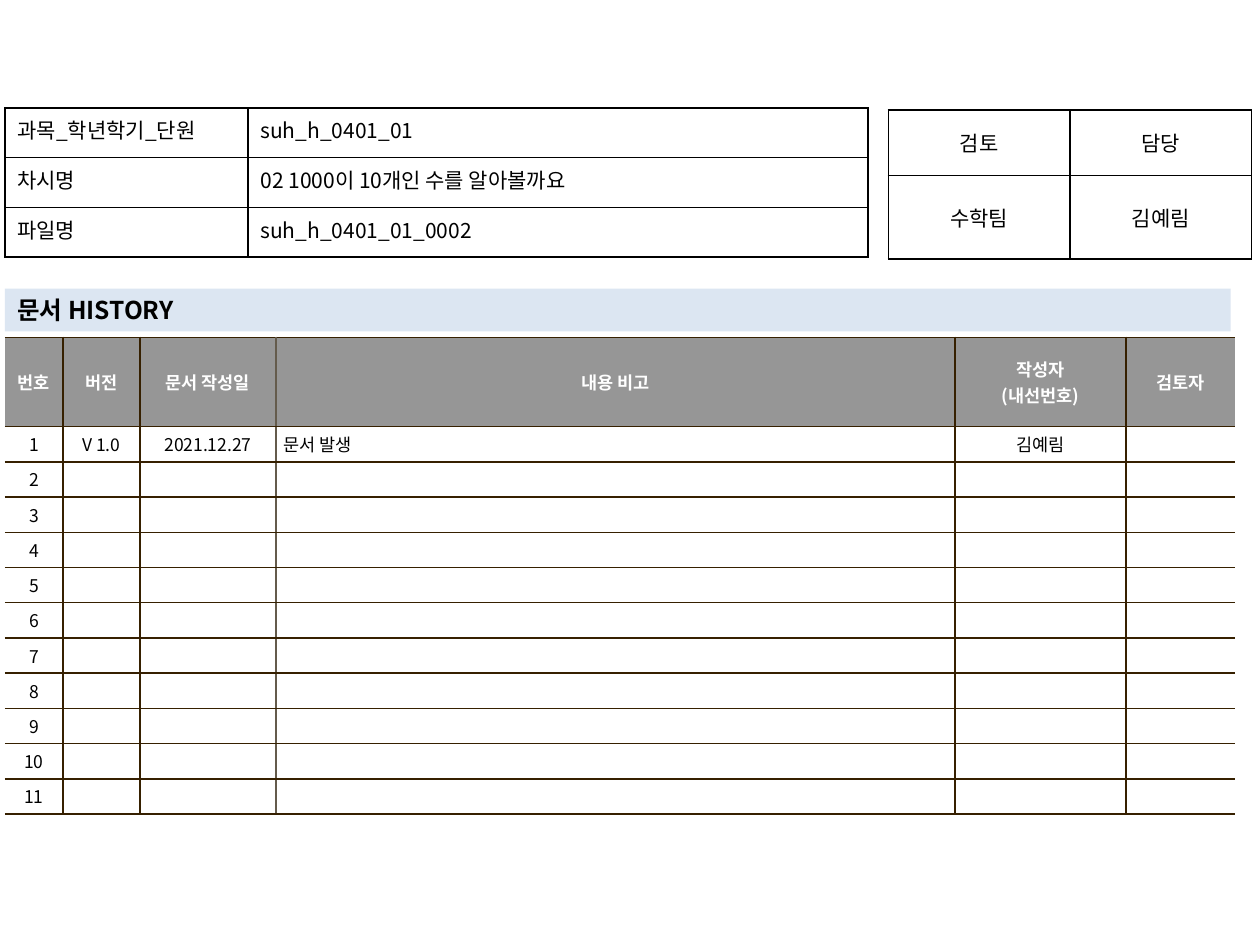
from dataclasses import dataclass
from typing import Optional

from lxml.etree import SubElement
from pptx import Presentation
from pptx.dml.color import RGBColor
from pptx.enum.shapes import MSO_SHAPE as Shape
from pptx.enum.text import MSO_ANCHOR as Anchor, PP_ALIGN as Align
from pptx.oxml.ns import qn
from pptx.util import Cm, Pt

FONT = "Noto Sans CJK KR"
BLACK, WHITE, GRAY = "000000", "FFFFFF", "969696"
BROWN, TAUPE, BLUE = "362000", "645B4C", "DCE6F2"
SIDES = ("L", "R", "T", "B")


@dataclass
class Grid:
    left: float
    top: float
    cols: list[float]
    rows: list[float]
    texts: list[list[str]]
    size: int
    line: str
    pad: tuple[float, float]
    anchor: Anchor = Anchor.MIDDLE


def color(code: str) -> RGBColor:
    return RGBColor.from_string(code)


def style(frame, size: int, tone: str, bold: bool = False, align=Align.LEFT) -> None:
    for para in frame.paragraphs:
        para.alignment = align
        for run in para.runs:
            font = run.font
            font.size, font.bold, font.name = Pt(size), bold, FONT
            font.color.rgb = color(tone)
            SubElement(font._element, qn("a:ea"), typeface=FONT)
        if not para.runs:
            SubElement(para._p, qn("a:endParaRPr"), sz=str(size * 100))


def border(cell, side: str, tone: Optional[str]) -> None:
    line = SubElement(cell._tc.get_or_add_tcPr(), qn(f"a:ln{side}"), w=str(Pt(1)))
    if tone is None:
        SubElement(line, qn("a:noFill"))
    else:
        fill = SubElement(line, qn("a:solidFill"))
        SubElement(fill, qn("a:srgbClr"), val=tone)


def draw_grid(slide, grid: Grid):
    table = slide.shapes.add_table(
        len(grid.rows), len(grid.cols), Cm(grid.left), Cm(grid.top),
        Cm(sum(grid.cols)), Cm(sum(grid.rows))).table
    table.first_row = table.horz_banding = False
    for col, width in zip(table.columns, grid.cols):
        col.width = Cm(width)
    for row, height, texts in zip(table.rows, grid.rows, grid.texts):
        row.height = Cm(height)
        for cell, text in zip(row.cells, texts):
            cell.text = text
            cell.vertical_anchor = grid.anchor
            cell.margin_left = cell.margin_right = Cm(grid.pad[0])
            cell.margin_top = cell.margin_bottom = Cm(grid.pad[1])
    return table


def draw_plain(slide, grid: Grid, aligns: list[Align]) -> None:
    table = draw_grid(slide, grid)
    for row in table.rows:
        for cell, align in zip(row.cells, aligns):
            style(cell.text_frame, grid.size, BLACK, align=align)
            for side in SIDES:
                border(cell, side, grid.line)
            cell.fill.background()


def draw_log(slide, grid: Grid) -> None:
    table = draw_grid(slide, grid)
    last, note = len(grid.cols) - 1, 3
    for r, row in enumerate(table.rows):
        head = r == 0
        for c, cell in enumerate(row.cells):
            align = Align.LEFT if c == note and not head else Align.CENTER
            style(cell.text_frame, grid.size, WHITE if head else BLACK, head, align)
            tones = dict.fromkeys(SIDES, grid.line)
            if c == 0:
                tones["L"] = None
            if c == last:
                tones["R"] = None
            if c == note:
                tones["L"] = TAUPE
            if c == note - 1:
                tones["R"] = TAUPE
            for side, tone in tones.items():
                border(cell, side, tone)
            cell.fill.solid()
            cell.fill.fore_color.rgb = color(GRAY if head else WHITE)
    props = table.cell(1, note).text_frame.paragraphs[0]._p.get_or_add_pPr()
    props.set("marL", str(Cm(0.48)))
    props.set("indent", str(-Cm(0.48)))


def draw_title(slide, text: str) -> None:
    bar = slide.shapes.add_shape(Shape.RECTANGLE, Cm(0.1), Cm(5.82), Cm(24.71), Cm(0.86))
    bar.shadow.inherit = False
    bar.fill.solid()
    bar.fill.fore_color.rgb = color(BLUE)
    bar.line.fill.background()
    frame = bar.text_frame
    frame.text = text
    frame.word_wrap = True
    frame.vertical_anchor = Anchor.MIDDLE
    style(frame, 14, BLACK, True)


def main() -> None:
    deck = Presentation()
    deck.slide_width, deck.slide_height = Cm(25.4), Cm(19.05)
    slide = deck.slides.add_slide(deck.slide_layouts[6])

    heads = ["번호", "버전", "문서 작성일", "내용 비고", "작성자\n(내선번호)", "검토자"]
    first = ["1", "V 1.0", "2021.12.27", "문서 발생", "김예림", ""]
    rest = [[str(n)] + [""] * 5 for n in range(2, 12)]
    draw_log(slide, Grid(
        0.1, 6.8, [1.17, 1.55, 2.74, 13.69, 3.45, 2.2], [1.8] + [0.71] * 11,
        [heads, first, *rest], 10, BROWN, (0.15, 0.1)))

    draw_plain(slide, Grid(
        17.91, 2.22, [3.66] * 2, [1.32, 1.68],
        [["검토", "담당"], ["수학팀", "김예림"]], 12, BLACK, (0.25, 0.13)),
        [Align.CENTER] * 2)

    draw_title(slide, "문서 HISTORY")

    draw_plain(slide, Grid(
        0.1, 2.18, [4.9, 12.5], [1] * 3,
        [["과목_학년학기_단원", "suh_h_0401_01"],
         ["차시명", "02 1000이 10개인 수를 알아볼까요"],
         ["파일명", "suh_h_0401_01_0002"]],
        12, BLACK, (0.25, 0.13), Anchor.TOP),
        [Align.JUSTIFY, Align.LEFT])

    deck.save("out.pptx")


if __name__ == "__main__":
    main()
